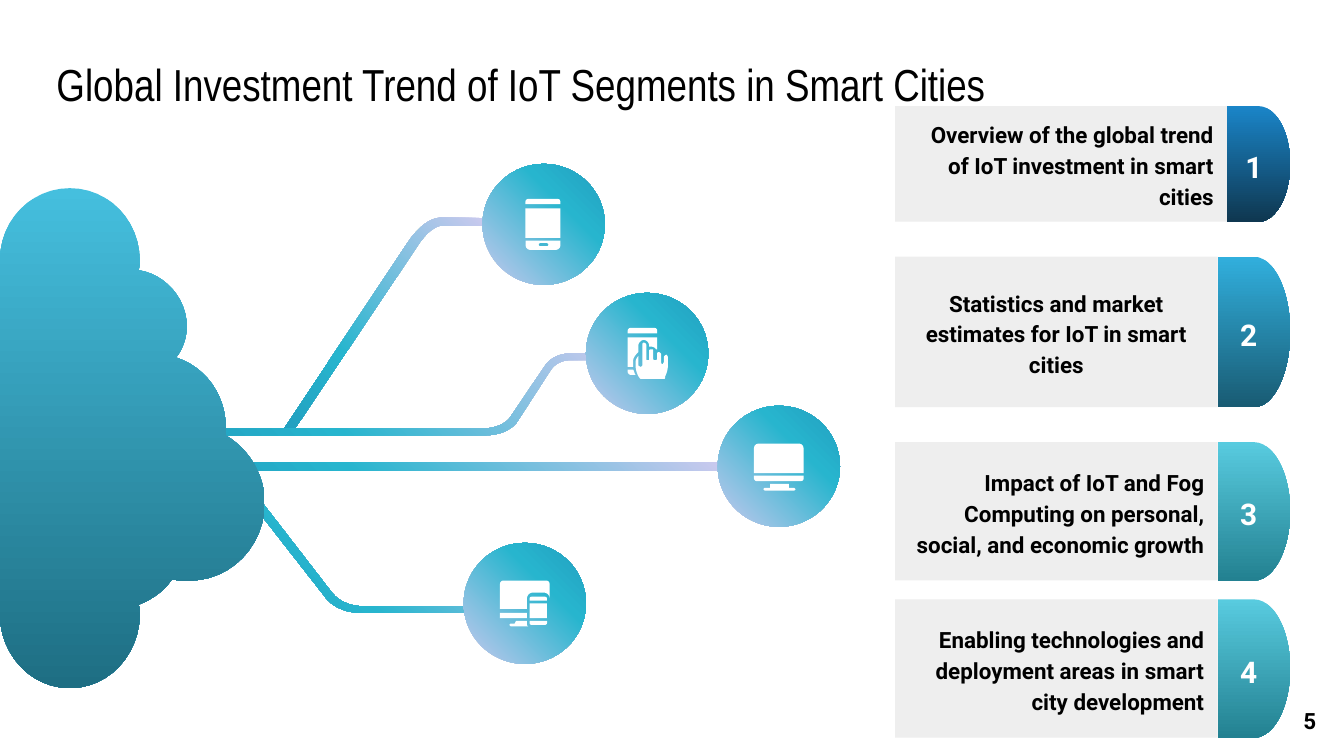
from pptx import Presentation
from pptx.dml.color import RGBColor
from pptx.enum.shapes import MSO_SHAPE
from pptx.enum.text import MSO_ANCHOR, PP_ALIGN
from pptx.oxml.ns import qn
from pptx.util import Inches, Pt
from lxml.etree import SubElement

WHITE = RGBColor(0xFF, 0xFF, 0xFF)
BLACK = RGBColor(0, 0, 0)
PANEL = RGBColor(0xEE, 0xEE, 0xEE)
SLOT = RGBColor(0x45, 0xB7, 0xD2)
LAVENDER = RGBColor(0xC9, 0xC9, 0xEE)
TURQUOISE = RGBColor(0x27, 0xB5, 0xCE)
OCEAN = RGBColor(0x22, 0x9F, 0xBF)
CLOUD_TOP = RGBColor(0x45, 0xBF, 0xDE)
CLOUD_BASE = RGBColor(0x1E, 0x6E, 0x83)
BLUE = RGBColor(0x1A, 0x85, 0xC8)
NAVY = RGBColor(0x0F, 0x37, 0x50)
SKY = RGBColor(0x31, 0xAF, 0xDD)
PETROL = RGBColor(0x19, 0x5B, 0x73)
AQUA = RGBColor(0x58, 0xCB, 0xDF)
TEAL = RGBColor(0x23, 0x81, 0x91)
BEAM = [(0, LAVENDER), (66, TURQUOISE), (100, OCEAN)]

deck = Presentation()
deck.slide_width = Inches(10)
deck.slide_height = deck.slide_width * 9 // 16
slide = deck.slides.add_slide(deck.slide_layouts[5])
shapes = slide.shapes


def paint(shape, stops, angle=90):
    """Fill with one colour, or with (percent, colour) stops at a clockwise angle."""
    shape.shadow.inherit = False
    shape.line.fill.background()
    if isinstance(stops, RGBColor):
        shape.fill.solid()
        shape.fill.fore_color.rgb = stops
        return
    shape.fill.gradient()
    shape.fill.gradient_angle = 360 - angle
    stop_list = next(shape.element.spPr.iter(qn("a:gsLst")))
    for old in list(stop_list):
        stop_list.remove(old)
    for percent, color in stops:
        stop = SubElement(stop_list, qn("a:gs"), pos=str(percent * 1000))
        SubElement(stop, qn("a:srgbClr"), val=str(color))


def add_outline(start, *segments):
    """Close an outline; pairs are line ends, sixes are cubic curves."""
    points, steps = [start], 12
    for segment in segments:
        if len(segment) == 2:
            points.append(segment)
            continue
        x0, y0 = points[-1]
        x1, y1, x2, y2, x3, y3 = segment
        for step in range(1, steps + 1):
            t = step / steps
            a, b, c, d = (1 - t) ** 3, 3 * t * (1 - t) ** 2, 3 * t * t * (1 - t), t ** 3
            points.append((a * x0 + b * x1 + c * x2 + d * x3,
                           a * y0 + b * y1 + c * y2 + d * y3))
    corners = [(Inches(x), Inches(y)) for x, y in points]
    builder = shapes.build_freeform(*corners[0])
    builder.add_line_segments(corners[1:], close=True)
    return builder.convert_to_shape()


title = shapes.title
title.left, title.top, title.width, title.height = map(Inches, (0.32, 0.32, 9, 0.63))
frame = title.text_frame
frame.text = "Global Investment Trend of IoT Segments in Smart Cities"
frame.vertical_anchor = MSO_ANCHOR.TOP
frame.margin_left = frame.margin_right = frame.margin_top = frame.margin_bottom = Inches(0.1)
paragraph = frame.paragraphs[0]
paragraph.alignment = PP_ALIGN.LEFT
font = paragraph.runs[0].font
font.size, font.name, font.color.rgb = Pt(24), "Arial Narrow", BLACK

# Beams from the cloud to the devices
beams = [
    [(3.28, 1.62), (3.25, 1.62, 3.15, 1.63, 3.03, 1.81), (2.1, 3.21), (2.16, 3.24),
     (3.1, 1.84), (3.2, 1.68, 3.28, 1.68, 3.28, 1.68), (3.59, 1.68), (3.59, 1.62)],
    [(1.72, 3.44), (1.66, 3.47), (2.41, 4.43), (2.5, 4.56, 2.66, 4.56, 2.69, 4.56),
     (3.91, 4.56), (3.91, 4.51), (2.69, 4.51), (2.68, 4.51, 2.55, 4.51, 2.47, 4.41)],
    [(4.24, 2.63), (4.23, 2.63, 4.11, 2.63, 4.05, 2.73), (3.8, 3.1),
     (3.8, 3.1, 3.76, 3.18, 3.6, 3.19), (1.2, 3.19), (1.2, 3.24), (3.6, 3.24),
     (3.79, 3.24, 3.85, 3.14, 3.86, 3.12), (4.1, 2.75),
     (4.15, 2.68, 4.23, 2.68, 4.24, 2.68), (4.61, 2.68), (4.61, 2.63)],
    [(1.17, 3.44), (1.17, 3.5), (5.34, 3.5), (5.34, 3.44)],
]
for beam in beams:
    paint(add_outline(*beam), BEAM, 135)

cloud = add_outline(
    (0.52, 1.4), (0.23, 1.4, 0, 1.64, 0, 1.94), (0, 4.57),
    (0, 4.87, 0.23, 5.12, 0.52, 5.12), (0.81, 5.12, 1.04, 4.87, 1.04, 4.57),
    (1.04, 4.55, 1.04, 4.52, 1.03, 4.5), (1.13, 4.46, 1.22, 4.4, 1.28, 4.31),
    (1.32, 4.32, 1.37, 4.32, 1.41, 4.32), (1.72, 4.32, 1.97, 4.06, 1.97, 3.74),
    (1.97, 3.53, 1.85, 3.34, 1.68, 3.24), (1.68, 3.22, 1.68, 3.2, 1.68, 3.18),
    (1.68, 2.94, 1.53, 2.73, 1.31, 2.66), (1.36, 2.6, 1.39, 2.51, 1.39, 2.43),
    (1.39, 2.22, 1.23, 2.04, 1.03, 2.01), (1.04, 1.99, 1.04, 1.96, 1.04, 1.94),
    (1.04, 1.64, 0.81, 1.4, 0.52, 1.4))
paint(cloud, [(0, CLOUD_TOP), (100, CLOUD_BASE)])

for left, top in [(3.59, 1.22), (3.45, 4.04), (4.36, 2.18), (5.34, 3.02)]:
    disc = shapes.add_shape(MSO_SHAPE.OVAL, *map(Inches, (left, top, 0.91, 0.9)))
    paint(disc, BEAM, 315)

# Agenda panels with their number tabs
panels = [
    ("Overview of the global trend of IoT investment in smart cities",
     0.79, 0.86, 9.13, PP_ALIGN.RIGHT, BLUE, NAVY),
    ("Statistics and market estimates for IoT in smart cities",
     1.91, 1.12, 9.06, PP_ALIGN.CENTER, SKY, PETROL),
    ("Impact of IoT and Fog Computing on personal, social, and economic growth",
     3.29, 1.03, 9.06, PP_ALIGN.RIGHT, AQUA, TEAL),
    ("Enabling technologies and deployment areas in smart city development",
     4.46, 1.03, 9.06, PP_ALIGN.RIGHT, AQUA, TEAL),
]
PANEL_LEFT, TAB_RIGHT = 6.66, 9.6
for number, (words, top, height, split, align, light, dark) in enumerate(panels, 1):
    panel = shapes.add_shape(MSO_SHAPE.RECTANGLE, Inches(PANEL_LEFT), Inches(top),
                             Inches(split - PANEL_LEFT), Inches(height))
    tab = shapes.add_shape(MSO_SHAPE.FLOWCHART_DELAY, Inches(split), Inches(top),
                           Inches(TAB_RIGHT - split), Inches(height))
    paint(panel, PANEL)
    paint(tab, [(0, light), (100, dark)])
    for box, text, size, color, side in [(panel, words, 12, BLACK, align),
                                         (tab, str(number), 16, WHITE, PP_ALIGN.CENTER)]:
        frame = box.text_frame
        frame.text = text
        frame.vertical_anchor = MSO_ANCHOR.MIDDLE
        frame.margin_left = frame.margin_right = Inches(0.1)
        frame.margin_top = frame.margin_bottom = Inches(0.1)
        paragraph = frame.paragraphs[0]
        paragraph.alignment, paragraph.line_spacing = side, 1.15
        font = paragraph.runs[0].font
        font.size, font.name, font.bold = Pt(size), "Roboto", True
        font.color.rgb = color

# Device icons: plain parts as (kind, left, top, width, height, corner, rotation)
ROUND_TOP, BLOCK = MSO_SHAPE.ROUND_2_SAME_RECTANGLE, MSO_SHAPE.RECTANGLE
icon_parts = [
    (ROUND_TOP, 3.91, 1.48, 0.26, 0.04, 0.5, 0),
    (BLOCK, 3.91, 1.55, 0.26, 0.22, None, 0),
    (ROUND_TOP, 3.91, 1.79, 0.26, 0.07, 0.5, 180),
    (ROUND_TOP, 4.67, 2.44, 0.22, 0.04, 0.5, 0),
    (ROUND_TOP, 5.61, 3.3, 0.37, 0.22, 0.16, 0),
    (ROUND_TOP, 5.61, 3.54, 0.37, 0.04, 0.5, 180),
    (BLOCK, 3.72, 4.56, 0.2, 0.04, None, 0),
    (ROUND_TOP, 3.94, 4.44, 0.13, 0.03, 0.5, 0),
    (BLOCK, 3.94, 4.49, 0.13, 0.11, None, 0),
    (ROUND_TOP, 3.94, 4.62, 0.13, 0.03, 0.5, 180),
]
for kind, left, top, width, height, corner, rotation in icon_parts:
    part = shapes.add_shape(kind, *map(Inches, (left, top, width, height)))
    if corner:
        part.adjustments[0] = corner
    part.rotation = rotation
    paint(part, WHITE)
slot = shapes.add_shape(MSO_SHAPE.ROUNDED_RECTANGLE, *map(Inches, (4.01, 1.81, 0.07, 0.02)))
slot.adjustments[0] = 0.5
paint(slot, SLOT)

phone_base = [(4.67, 2.75), (4.67, 2.76), (4.67, 2.78, 4.68, 2.79, 4.7, 2.79),
              (4.73, 2.79), (4.72, 2.78, 4.72, 2.76, 4.71, 2.75)]
phone_screen = [(4.67, 2.51), (4.67, 2.73), (4.71, 2.73), (4.71, 2.69),
                (4.71, 2.67, 4.72, 2.65, 4.74, 2.63), (4.75, 2.62), (4.75, 2.57),
                (4.75, 2.55, 4.77, 2.53, 4.79, 2.53), (4.81, 2.53, 4.83, 2.55, 4.83, 2.57),
                (4.83, 2.58), (4.85, 2.58), (4.86, 2.58, 4.88, 2.59, 4.88, 2.6),
                (4.89, 2.6), (4.89, 2.51)]
hand = [(4.79, 2.55), (4.78, 2.55, 4.78, 2.56, 4.78, 2.57), (4.78, 2.72),
        (4.78, 2.72, 4.77, 2.73, 4.77, 2.73), (4.76, 2.73, 4.75, 2.72, 4.75, 2.72),
        (4.75, 2.65), (4.74, 2.66, 4.73, 2.68, 4.73, 2.69), (4.73, 2.72),
        (4.73, 2.75, 4.74, 2.78, 4.75, 2.8), (4.76, 2.81, 4.76, 2.82, 4.77, 2.82),
        (4.94, 2.82), (4.95, 2.82, 4.95, 2.81, 4.95, 2.8),
        (4.96, 2.78, 4.97, 2.75, 4.97, 2.72), (4.97, 2.66),
        (4.97, 2.65, 4.96, 2.64, 4.96, 2.64), (4.95, 2.64, 4.94, 2.65, 4.94, 2.66),
        (4.94, 2.69), (4.94, 2.7, 4.93, 2.71, 4.93, 2.71),
        (4.92, 2.71, 4.92, 2.7, 4.92, 2.69), (4.92, 2.64),
        (4.92, 2.63, 4.91, 2.62, 4.9, 2.62), (4.89, 2.62, 4.89, 2.63, 4.89, 2.64),
        (4.89, 2.67), (4.89, 2.68, 4.88, 2.68, 4.87, 2.68),
        (4.87, 2.68, 4.86, 2.68, 4.86, 2.67), (4.86, 2.61),
        (4.86, 2.6, 4.86, 2.6, 4.85, 2.6), (4.84, 2.6, 4.83, 2.6, 4.83, 2.61),
        (4.83, 2.67), (4.83, 2.68, 4.83, 2.68, 4.82, 2.68),
        (4.81, 2.68, 4.81, 2.68, 4.81, 2.67), (4.81, 2.57),
        (4.81, 2.56, 4.8, 2.55, 4.79, 2.55)]
monitor_stand = [(5.73, 3.6), (5.73, 3.63), (5.69, 3.63), (5.68, 3.64), (5.69, 3.65),
                 (5.91, 3.65), (5.92, 3.64), (5.91, 3.63), (5.87, 3.63), (5.87, 3.6)]
desktop_stand = [(3.84, 4.62), (3.83, 4.64), (3.8, 4.64), (3.79, 4.65), (3.8, 4.66),
                 (3.93, 4.66), (3.92, 4.66, 3.92, 4.64, 3.92, 4.63), (3.92, 4.62)]
desktop_screen = [(3.75, 4.32), (3.73, 4.32, 3.72, 4.33, 3.72, 4.35), (3.72, 4.53),
                  (3.92, 4.53), (3.92, 4.46), (3.92, 4.43, 3.94, 4.41, 3.96, 4.41),
                  (4.05, 4.41), (4.07, 4.41, 4.09, 4.43, 4.09, 4.45), (4.09, 4.35),
                  (4.09, 4.33, 4.08, 4.32, 4.06, 4.32)]
for outline in [phone_base, phone_screen, hand, monitor_stand, desktop_stand, desktop_screen]:
    paint(add_outline(*outline), WHITE)

page_number = shapes.add_textbox(*map(Inches, (9.6, 5.25, 0.84, 0.43)))
frame = page_number.text_frame
frame.word_wrap = True
frame.text = "5"
frame.vertical_anchor = MSO_ANCHOR.MIDDLE
frame.margin_top, frame.margin_bottom = Inches(0), Inches(0.2)
font = frame.paragraphs[0].runs[0].font
font.size, font.name, font.bold, font.color.rgb = Pt(12), "Roboto", True, BLACK

deck.save("out.pptx")
